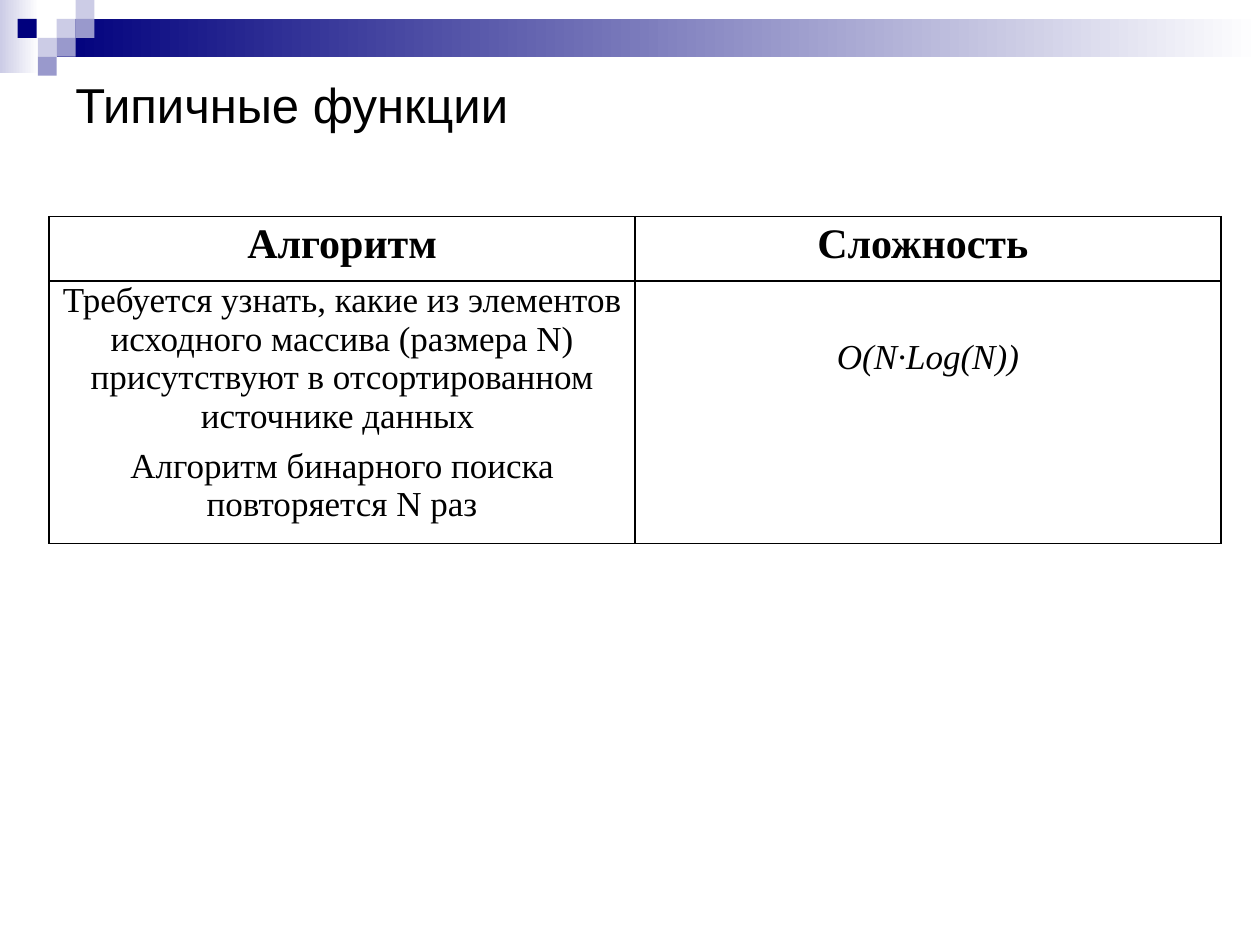
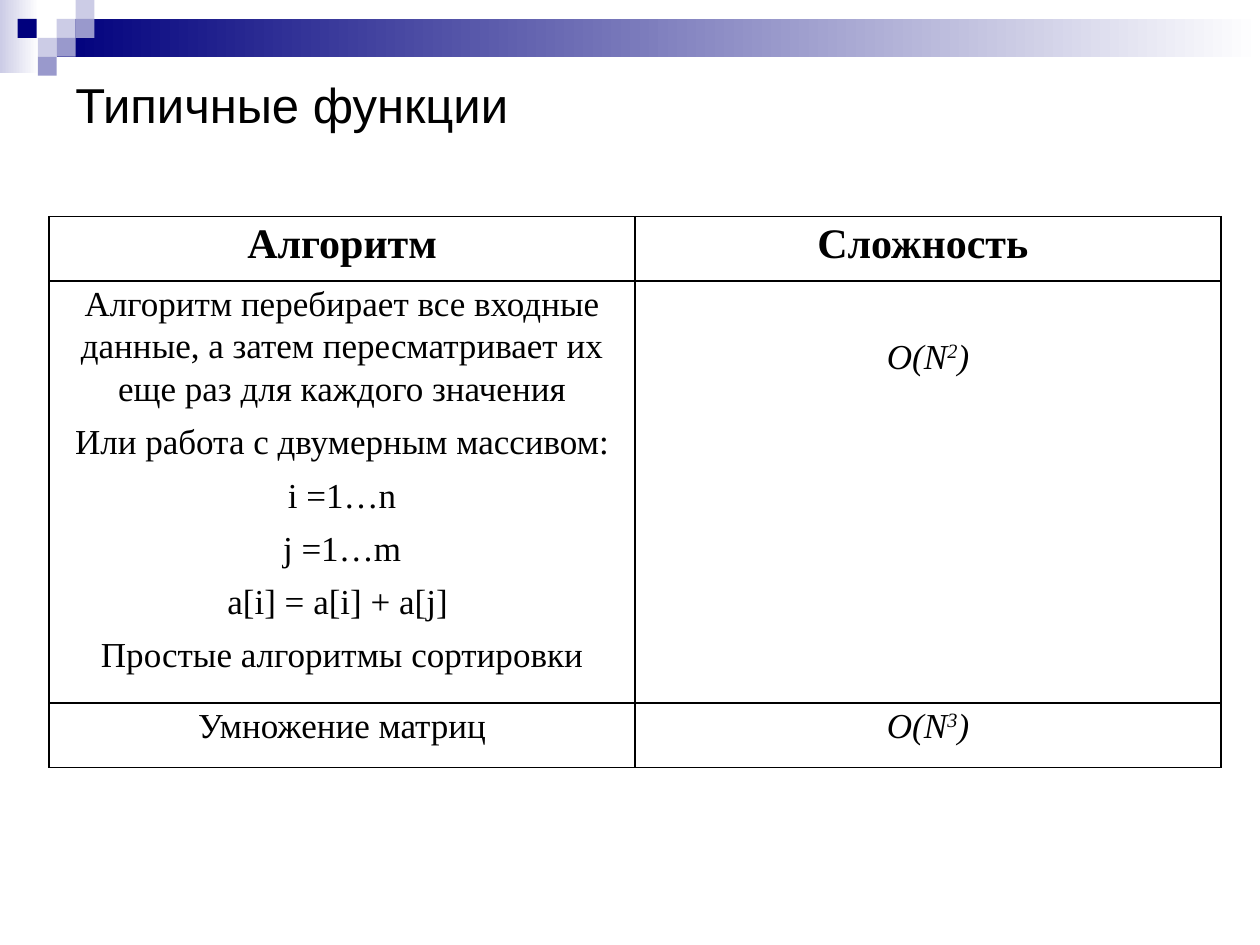
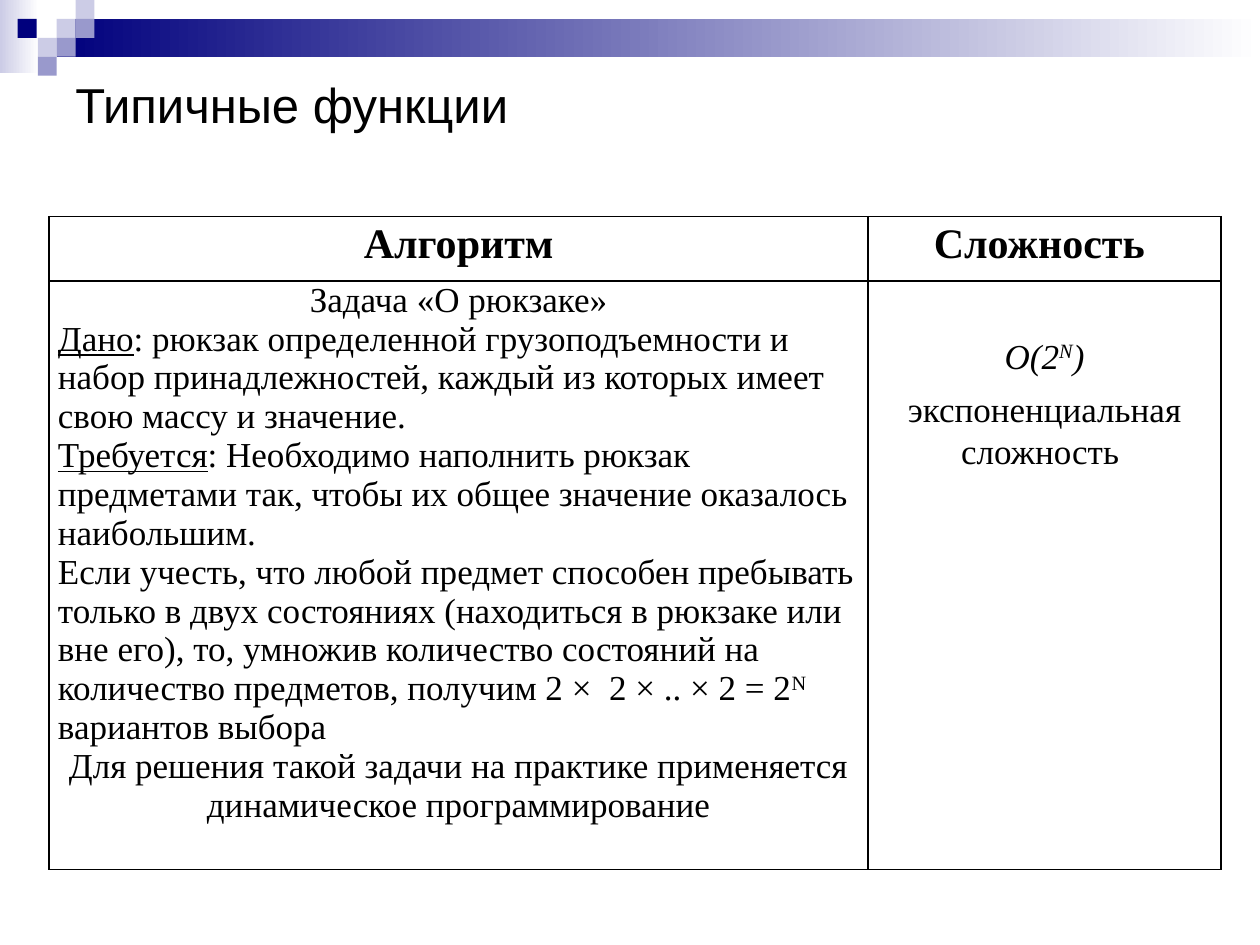
import dataclasses

import pptx
import pptx.dml.color
import pptx.enum.shapes
import pptx.enum.text
import pptx.oxml
import pptx.oxml.ns
import pptx.util

Inches = pptx.util.Inches
Pt = pptx.util.Pt
RGB = pptx.dml.color.RGBColor.from_string
ALIGN = pptx.enum.text.PP_ALIGN
RECT = pptx.enum.shapes.MSO_SHAPE.RECTANGLE


@dataclasses.dataclass(frozen=True)
class Theme:
    ink: str = "000000"
    white: str = "FFFFFF"
    navy: str = "00007D"
    mid: str = "9999CC"
    pale: str = "CCCCE6"
    sans: str = "Arial"
    serif: str = "Times New Roman"
    title: int = 28
    head: int = 24
    body: int = 20


theme = Theme()

# Paragraph formats
loose = {"alignment": ALIGN.CENTER, "line_spacing": 1.1,
         "space_before": Pt(3), "space_after": Pt(3)}
tight = {"alignment": ALIGN.CENTER, "space_before": Pt(6)}
centre = {"alignment": ALIGN.CENTER}
left = {"alignment": ALIGN.LEFT}

# Run formats
plain = {}
slant = {"italic": True}
under = {"underline": True}
sup = {"raised": True}
slant_sup = {**slant, **sup}


def write(frame, paras, base):
    """Fill a text frame with (paragraph format, [(text, run format)]) pairs."""
    for i, (form, runs) in enumerate(paras):
        para = frame.paragraphs[0] if i == 0 else frame.add_paragraph()
        for key, value in form.items():
            setattr(para, key, value)
        for text, look in runs:
            run = para.add_run()
            run.text = text
            run.font.color.rgb = RGB(theme.ink)
            for key, value in {**base, **look}.items():
                if key == "raised":
                    run._r.get_or_add_rPr().set("baseline", "30000")
                else:
                    setattr(run.font, key, value)


def power(base, top):
    return loose, [(f"O({base}", slant), (top, slant_sup), (")", slant)]


# Top band: left, top, width, height, colour
fades = [(0, 0, 0.31, 0.58, theme.pale), (0.45, 0.15, 9.55, 0.3, theme.navy)]
side = 0.15
squares = [(0.45, 0.15, theme.pale), (0.6, 0, theme.pale),
           (0.6, 0.15, theme.mid), (0.3, 0.3, theme.pale),
           (0.14, 0.15, theme.navy), (0.45, 0.3, theme.mid),
           (0.3, 0.45, theme.mid)]
tiles = fades + [(x, y, side, side, hue) for x, y, hue in squares]

title = "Типичные функции"
heads = [[(loose, [(text, plain)])] for text in ("Алгоритм", "Сложность ")]
row_min = 0.51
drop = 0.42  # one line of space above the first formula

pages = [
    {"cols": [4.65, 4.65], "rows": [row_min, row_min], "tall": 2.6, "body": [
        [[(tight, [("Требуется узнать, какие из элементов исходного массива "
                    "(размера N) присутствуют в отсортированном источнике "
                    "данных ", plain)]),
          (tight, [("Алгоритм бинарного поиска повторяется N раз", plain)])],
         [(loose, [("O(N·Log(N))", slant)])]],
    ]},
    {"cols": [4.65, 4.65], "rows": [row_min, 1.82, row_min], "tall": 4.35, "body": [
        [[(loose, [(text, plain)]) for text in (
            "Алгоритм перебирает все входные данные, а затем "
            "пересматривает их еще раз для каждого значения",
            "Или работа с двумерным массивом:",
            "i =1…n",
            "j =1…m",
            "a[i] = a[i] + a[j] ",
            "Простые алгоритмы сортировки")],
         [power("N", "2")]],
        [[(loose, [("Умножение матриц", plain)])], [power("N", "3")]],
    ]},
    {"cols": [6.5, 2.8], "rows": [row_min, 1.82], "tall": 5.18, "body": [
        [[(centre, [("Задача «О рюкзаке»", plain)]),
          (left, [("Дано", under),
                  (": рюкзак определенной грузоподъемности и набор "
                   "принадлежностей, каждый из которых имеет свою массу "
                   "и значение.", plain)]),
          (left, [("Требуется", under),
                  (": Необходимо наполнить рюкзак предметами так, чтобы их "
                   "общее значение оказалось наибольшим.", plain)]),
          (left, [("Если учесть, что любой предмет способен пребывать только "
                   "в двух состояниях (находиться в рюкзаке или вне его), то, "
                   "умножив количество состояний на количество предметов, "
                   "получим 2 ×  2 × .. × 2 = 2", plain),
                  ("N", sup), (" вариантов выбора", plain)]),
          (centre, [("Для решения такой задачи на практике применяется "
                     "динамическое программирование", plain)])],
         [power("2", "N"),
          (loose, [("экспоненциальная сложность ", plain)])]],
    ]},
]

deck = pptx.Presentation()
deck.slide_width, deck.slide_height = Inches(10), Inches(7.5)

for page in pages:
    slide = deck.slides.add_slide(deck.slide_layouts[6])

    band = slide.shapes.add_group_shape()
    for i, (x, y, w, h, hue) in enumerate(tiles):
        tile = band.shapes.add_shape(RECT, Inches(x), Inches(y), Inches(w), Inches(h))
        tile.shadow.inherit = False
        tile.line.fill.background()
        if i < len(fades):
            tile.fill.gradient()
            tile.fill.gradient_angle = 0
            for stop, tint, spot in zip(tile.fill.gradient_stops,
                                        (hue, theme.white), (0, 1)):
                stop.color.rgb = RGB(tint)
                stop.position = spot
        else:
            tile.fill.solid()
            tile.fill.fore_color.rgb = RGB(hue)

    box = slide.shapes.add_textbox(Inches(0.5), Inches(0.5), Inches(9), Inches(0.65))
    box.text_frame.word_wrap = True
    box.text_frame.vertical_anchor = pptx.enum.text.MSO_ANCHOR.MIDDLE
    write(box.text_frame, [(left, [(title, plain)])],
          {"name": theme.sans, "size": Pt(theme.title)})

    grid = [heads] + page["body"]
    frame = slide.shapes.add_table(len(grid), 2, Inches(0.39), Inches(1.72),
                                   Inches(9.3), Inches(page["tall"]))
    table = frame.table
    table.first_row = table.horz_banding = False
    for col, wide in zip(table.columns, page["cols"]):
        col.width = Inches(wide)
    for row, high in zip(table.rows, page["rows"]):
        row.height = Inches(high)
    frame.height = Inches(page["tall"])

    for r, line in enumerate(grid):
        for c, paras in enumerate(line):
            cell = table.cell(r, c)
            pads = {"margin_left": 0.07, "margin_right": 0.07,
                    "margin_top": drop if (r, c) == (1, 1) else 0,
                    "margin_bottom": 0}
            for key, value in pads.items():
                setattr(cell, key, Inches(value))
            for edge in "LRTB":
                cell._tc.get_or_add_tcPr().append(pptx.oxml.parse_xml(
                    f'<a:ln{edge} {pptx.oxml.ns.nsdecls("a")} w="{Pt(1)}">'
                    f'<a:solidFill><a:srgbClr val="{theme.ink}"/></a:solidFill>'
                    f'</a:ln{edge}>'))
            cell.fill.background()
            write(cell.text_frame, paras, {
                "name": theme.serif, "bold": r == 0,
                "size": Pt(theme.head if r == 0 else theme.body)})

deck.save("out.pptx")
